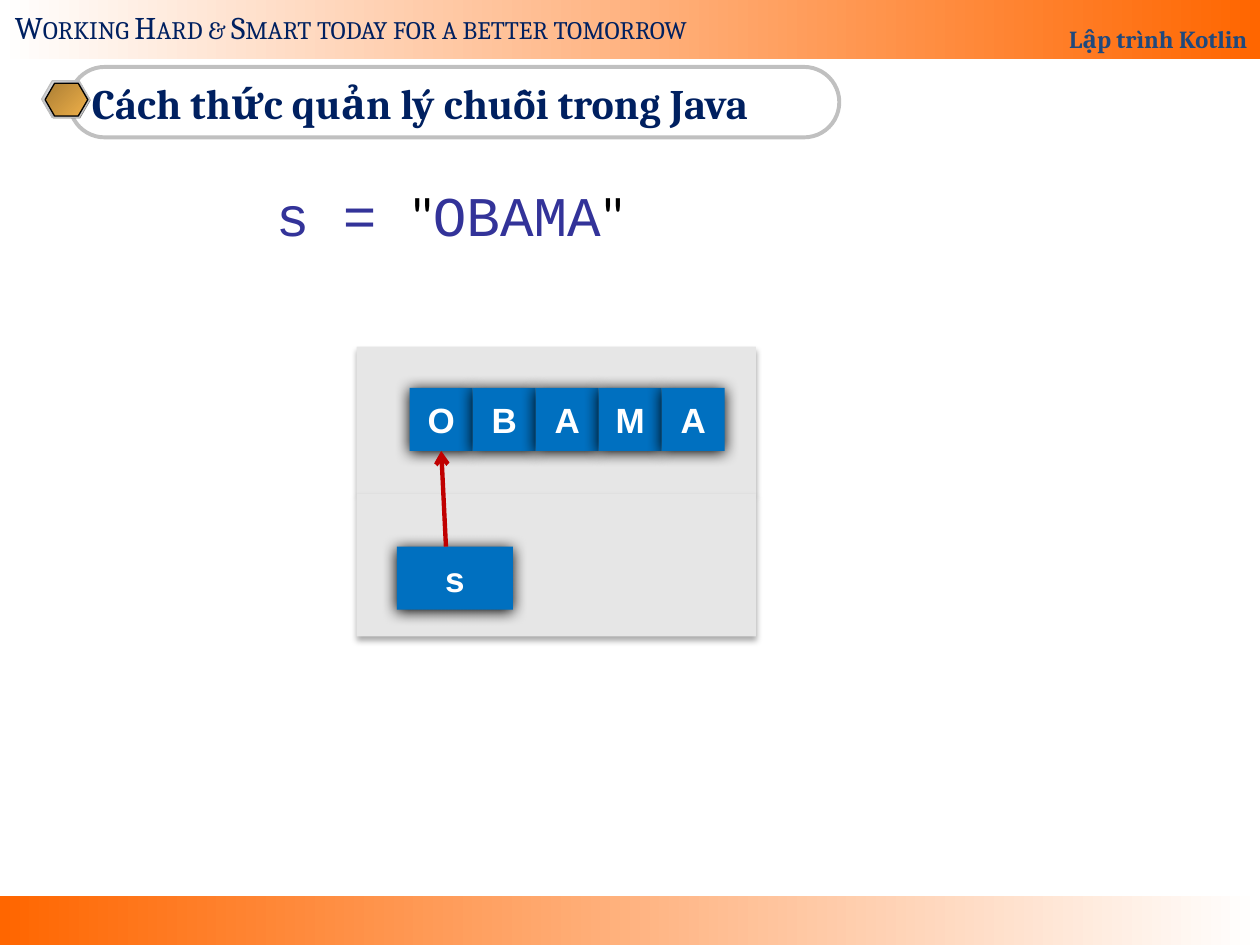
from typing import NamedTuple, Optional

from lxml.etree import SubElement
from pptx import Presentation
from pptx.dml.color import RGBColor
from pptx.enum.shapes import MSO_CONNECTOR as LINK, MSO_SHAPE as SHAPE
from pptx.enum.text import MSO_ANCHOR as ANCHOR, PP_ALIGN as ALIGN
from pptx.oxml.ns import qn
from pptx.util import Cm, Pt

WHITE = RGBColor(0xFF, 0xFF, 0xFF)
BLACK = RGBColor(0x00, 0x00, 0x00)
ORANGE = RGBColor(0xFF, 0x66, 0x00)
NAVY = RGBColor(0x00, 0x20, 0x60)
SLATE = RGBColor(0x1F, 0x49, 0x7D)
INDIGO = RGBColor(0x33, 0x33, 0x99)
BLUE = RGBColor(0x00, 0x70, 0xC0)
RED = RGBColor(0xC0, 0x00, 0x00)
SILVER = RGBColor(0xC0, 0xC0, 0xC0)
GREY = RGBColor(0x80, 0x80, 0x80)
STEEL = RGBColor(0x7D, 0x84, 0x96)
PALE = RGBColor(0xE6, 0xE6, 0xE6)
BRONZE = RGBColor(0xAB, 0x7E, 0x34)
GOLD = RGBColor(0xEF, 0xB0, 0x49)


class Box(NamedTuple):
    """A place on the slide, in centimetres."""
    left: float
    top: float
    width: float
    height: float


class Shade(NamedTuple):
    """A downward shadow: opacity in percent, the rest in points."""
    alpha: int
    blur: float
    dist: float


class Hex(NamedTuple):
    box: Box
    fills: tuple
    line: Optional[RGBColor] = None


SOFT = Shade(32, 3.5, 2.2)
DARK = Shade(100, 8.5, 1)

BADGE = [
    Hex(Box(0.86, 1.65, 0.97, 0.74), (GREY,)),
    Hex(Box(0.84, 1.63, 0.97, 0.74), (PALE, STEEL), SILVER),
    Hex(Box(0.91, 1.68, 0.86, 0.66), (BRONZE, GOLD), BLACK),
]
PANELS = [Box(7.19, 6.99, 8.05, 2.97), Box(7.19, 9.96, 8.05, 2.87)]
WORD = "OBAMA"
CELL = 1.27
ROW_X, ROW_Y = 8.26, 7.82


def add_shape(shapes, kind, box: Box, fills=(), line=None, weight=0.75,
              angle=0, shade: Optional[Shade] = None):
    """Draw a preset shape; two fills make a gradient."""
    shape = shapes.add_shape(kind, *map(Cm, box))
    shape.shadow.inherit = False
    if len(fills) == 2:
        shape.fill.gradient()
        shape.fill.gradient_angle = angle
        for stop, color in zip(shape.fill.gradient_stops, fills):
            stop.color.rgb = color
    elif fills:
        shape.fill.solid()
        shape.fill.fore_color.rgb = fills[0]
    else:
        shape.fill.background()
    if line is None:
        shape.line.fill.background()
    else:
        shape.line.color.rgb = line
        shape.line.width = Pt(weight)
    if shade:
        add_shade(shape, shade)
    return shape


def add_shade(shape, shade: Shade) -> None:
    effects = shape._element.spPr.find(qn("a:effectLst"))
    outer = SubElement(effects, qn("a:outerShdw"), blurRad=str(Pt(shade.blur)),
                       dist=str(Pt(shade.dist)), dir="5400000", rotWithShape="0")
    color = SubElement(outer, qn("a:srgbClr"), val=str(BLACK))
    SubElement(color, qn("a:alpha"), val=str(shade.alpha * 1000))


def add_text(shape, text: str, *, size: float, font: str, color: RGBColor,
             bold=False, small=False, align=ALIGN.LEFT, anchor=ANCHOR.TOP,
             wrap=True) -> None:
    """Append one formatted run to the first paragraph of a shape."""
    frame = shape.text_frame
    frame.word_wrap = wrap
    frame.vertical_anchor = anchor
    para = frame.paragraphs[0]
    para.alignment = align
    run = para.add_run()
    run.text = text
    run.font.size = Pt(size)
    run.font.name = font
    run.font.bold = bold
    run.font.color.rgb = color
    if small:
        run.font._element.set("cap", "small")


def add_cell(shapes, box: Box, text: str):
    cell = add_shape(shapes, SHAPE.RECTANGLE, box, (BLUE,), shade=DARK)
    cell.text_frame.margin_left = cell.text_frame.margin_right = 0
    add_text(cell, text, size=20, font="Arial", color=WHITE, bold=True,
             align=ALIGN.CENTER, anchor=ANCHOR.MIDDLE)
    return cell


def main() -> None:
    deck = Presentation()
    deck.slide_width, deck.slide_height = Cm(25.4), Cm(19.05)
    slide = deck.slides.add_slide(deck.slide_layouts[5])
    shapes = slide.shapes

    # Footer and header bands
    add_shape(shapes, SHAPE.RECTANGLE, Box(0, 18.06, 25.4, 0.99), (ORANGE, WHITE))
    band = add_shape(shapes, SHAPE.RECTANGLE, Box(0, -0.15, 25.4, 1.35),
                     (WHITE, ORANGE))
    add_text(band, "Lập trình Kotlin", size=14, font="Cambria", color=SLATE,
             bold=True, align=ALIGN.RIGHT, anchor=ANCHOR.BOTTOM)
    motto = shapes.add_textbox(Cm(0.05), Cm(0.03), Cm(15), Cm(1.02))
    add_text(motto, "Working Hard & Smart today for a better tomorrow",
             size=18, font="Cambria", color=NAVY, small=True)

    # Title in its rounded frame, with the badge
    frame = add_shape(shapes, SHAPE.ROUNDED_RECTANGLE,
                      Box(1.4, 1.35, 15.52, 1.42), line=SILVER, weight=2.25)
    frame.adjustments[0] = 0.5
    title = shapes.title
    title.left, title.top, title.width, title.height = map(
        Cm, Box(1.6, 1.35, 15, 1.42))
    add_text(title, "Cách thức quản lý chuỗi trong Java", size=24,
             font="Cambria", color=NAVY, bold=True, anchor=ANCHOR.MIDDLE)
    for part in BADGE:
        shape = add_shape(shapes, SHAPE.HEXAGON, part.box, part.fills,
                          part.line, angle=315)
        shape.adjustments[0] = 0.29

    # Memory panels
    for panel in PANELS:
        add_shape(shapes, SHAPE.RECTANGLE, panel, (PALE,), shade=SOFT)

    # Variable and the letters it points to
    add_cell(shapes, Box(8, 11.02, 2.34, CELL), "s")
    cells = [add_cell(shapes, Box(ROW_X + i * CELL, ROW_Y, CELL, CELL), letter)
             for i, letter in enumerate(WORD)]
    arrow = shapes.add_connector(LINK.STRAIGHT, Cm(8.99), Cm(11.02),
                                 Cm(8.89), Cm(9.09))
    arrow.end_connect(cells[0], 2)
    arrow.line.color.rgb = RED
    arrow.line.width = Pt(2.5)
    SubElement(arrow.line._get_or_add_ln(), qn("a:tailEnd"), type="arrow")
    SubElement(arrow._element.spPr, qn("a:effectLst"))

    # Code line
    code = shapes.add_textbox(Cm(5.31), Cm(3.78), Cm(8.2), Cm(1.35))
    code.text_frame.paragraphs[0].line_spacing = 0.8
    quote = ('"', "Calibri", BLACK)
    for text, font, color in [("s = ", "Courier New", INDIGO), quote,
                              (WORD, "Courier New", INDIGO), quote]:
        add_text(code, text, size=32, font=font, color=color)

    deck.save("out.pptx")


if __name__ == "__main__":
    main()
